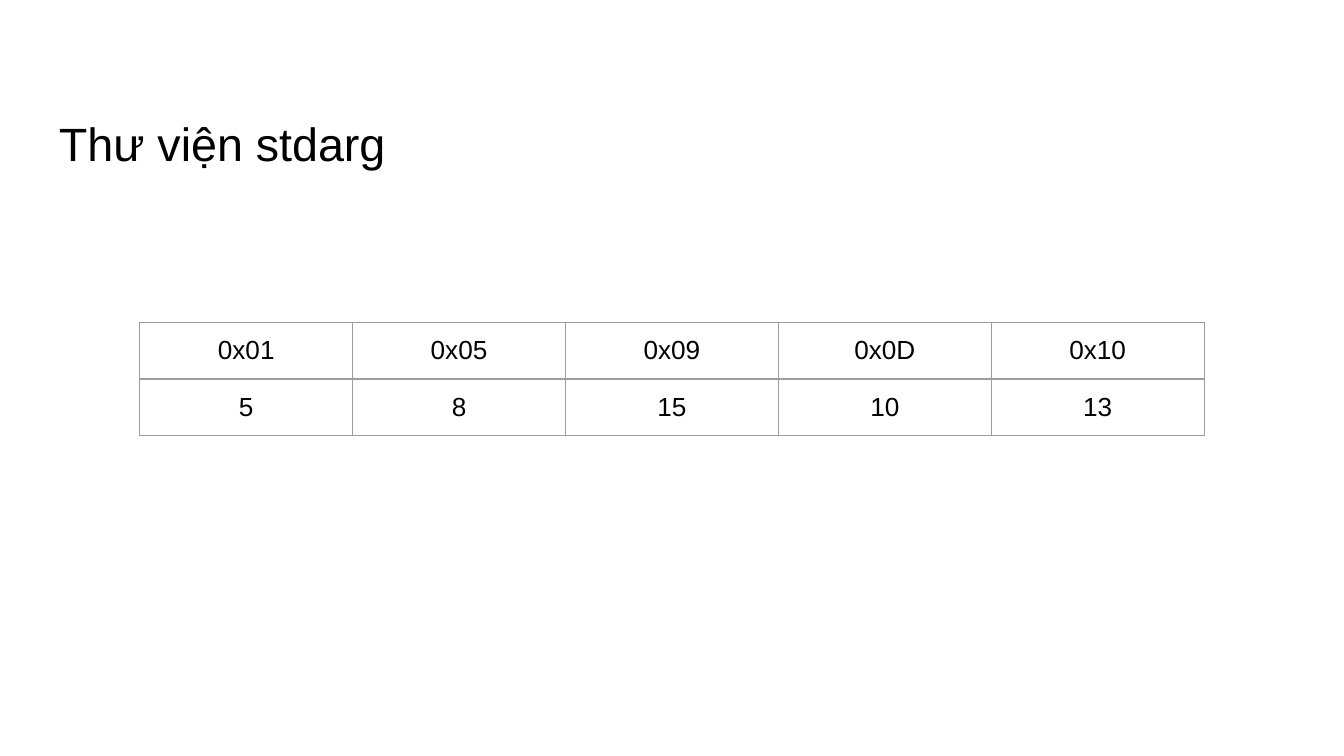
from lxml import etree
from pptx import Presentation
from pptx.dml.color import RGBColor
from pptx.enum.text import MSO_ANCHOR, PP_ALIGN
from pptx.oxml.ns import qn
from pptx.util import Inches, Pt

BOTTOM = MSO_ANCHOR.BOTTOM
TOP = MSO_ANCHOR.TOP
CENTER = PP_ALIGN.CENTER
JUSTIFY = PP_ALIGN.JUSTIFY

COLORS = {"text": "000000", "page": "FFFFFF", "grid": "9E9E9E"}
FONT = "Arial"
WIDTH = 10
ROWS = [
    ["0x01", "0x05", "0x09", "0x0D", "0x10"],
    ["5", "8", "15", "10", "13"],
]


def set_text(frame, text, size, align):
    para = frame.paragraphs[0]
    para.text = text
    para.alignment = align
    font = para.runs[0].font
    font.name = FONT
    font.size = Pt(size)
    font.color.rgb = RGBColor.from_string(COLORS["text"])


def set_pads(item, low=0.1):
    item.margin_left = item.margin_right = item.margin_top = Inches(0.1)
    item.margin_bottom = Inches(low)


def set_grid(cell):
    """Draw a thin line on each side of the cell."""
    props = cell._tc.get_or_add_tcPr()
    for pos, side in enumerate(("lnL", "lnR", "lnT", "lnB")):
        line = etree.Element(qn("a:" + side), w=str(Pt(0.75)))
        fill = etree.SubElement(line, qn("a:solidFill"))
        etree.SubElement(fill, qn("a:srgbClr"), val=COLORS["grid"])
        props.insert(pos, line)


def add_title(slide, left, top, width, height, text):
    box = slide.shapes.add_textbox(
        Inches(left), Inches(top), Inches(width), Inches(height))
    frame = box.text_frame
    frame.word_wrap = True
    frame.vertical_anchor = BOTTOM
    set_pads(frame)
    set_text(frame, text, 25, JUSTIFY)


def add_memory(slide, left, top, width, height, rows):
    """Table with the addresses above the values they hold."""
    table = slide.shapes.add_table(
        len(rows), len(rows[0]),
        Inches(left), Inches(top), Inches(width), Inches(height)).table
    table.first_row = table.horz_banding = False
    for r, row in enumerate(rows):
        for c, text in enumerate(row):
            cell = table.cell(r, c)
            cell.fill.background()
            cell.vertical_anchor = TOP
            # A smaller lower pad keeps the row from growing
            set_pads(cell, 0.08)
            set_text(cell.text_frame, text, 14, CENTER)
            set_grid(cell)


def main():
    deck = Presentation()
    # Widescreen page, 16:9
    deck.slide_width = Inches(WIDTH)
    deck.slide_height = Inches(WIDTH * 9 / 16)
    slide = deck.slides.add_slide(deck.slide_layouts[6])
    back = slide.background.fill
    back.solid()
    back.fore_color.rgb = RGBColor.from_string(COLORS["page"])

    # Heading
    add_title(slide, 0.34, 0.39, 9.32, 0.98, "Thư viện stdarg")
    # Addresses and values
    add_memory(slide, 1.04, 2.4, 7.92, 0.84, ROWS)

    deck.save("out.pptx")


if __name__ == "__main__":
    main()
